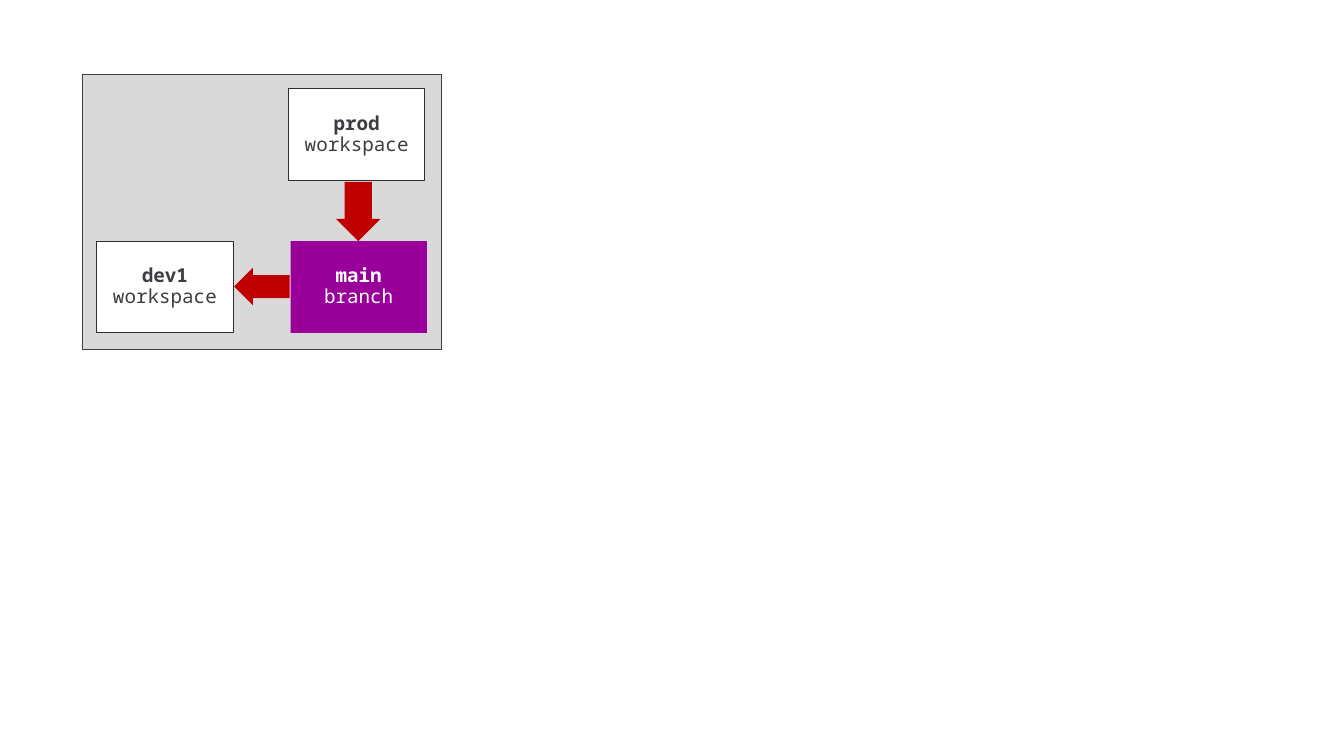
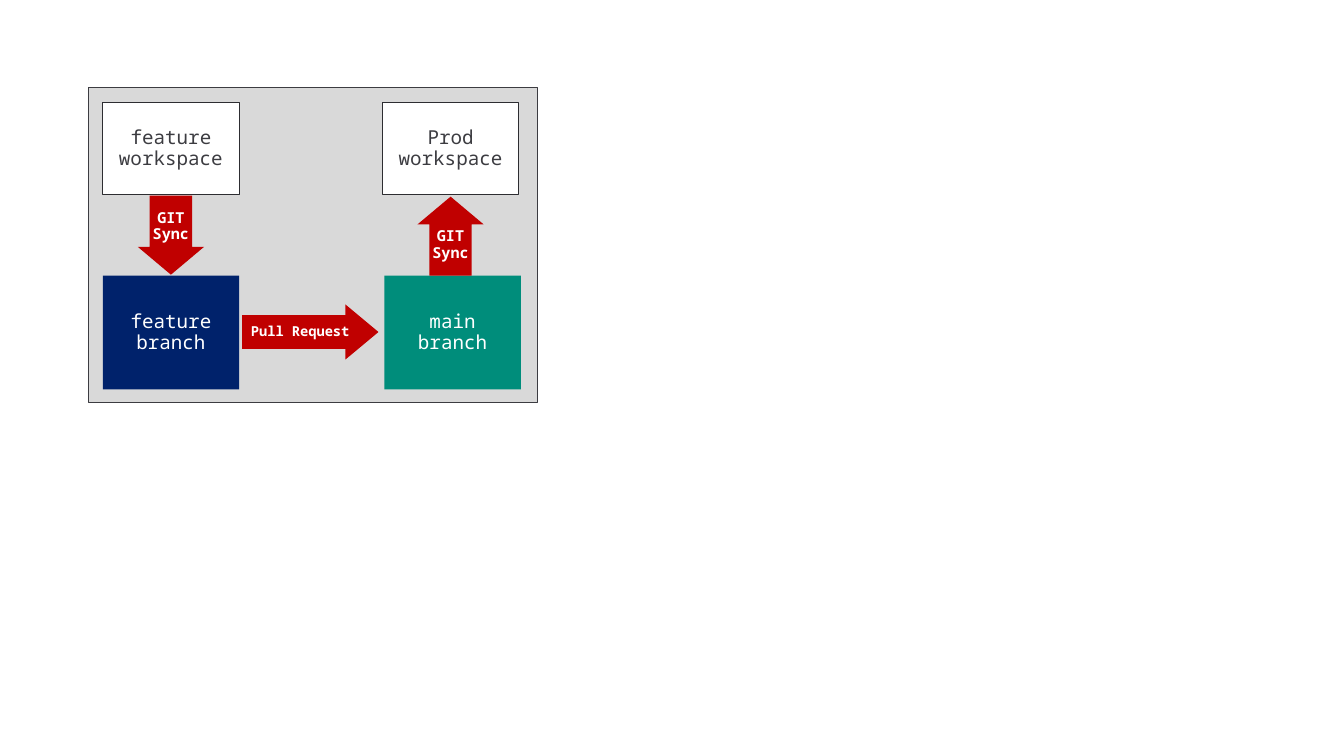
from pptx import Presentation
from pptx.dml.color import RGBColor
from pptx.enum.shapes import MSO_SHAPE
from pptx.enum.text import MSO_ANCHOR, PP_ALIGN
from pptx.util import Inches, Pt

WHITE = RGBColor(0xFF, 0xFF, 0xFF)
PANEL = RGBColor(0xD9, 0xD9, 0xD9)
INK = RGBColor(0x3C, 0x3C, 0x41)
EDGE = RGBColor(0x2D, 0x2D, 0x31)
RED = RGBColor(0xC0, 0x00, 0x00)
PURPLE = RGBColor(0x99, 0x00, 0x99)
NAVY = RGBColor(0x00, 0x22, 0x6B)
TEAL = RGBColor(0x00, 0x8D, 0x7B)

FONT = "Noto Sans Mono"
PAD = 0.14
BOX_W, BOX_H = 1.38, 0.93
BRANCH_H = 1.15


def set_format(target, values):
    for name, value in values.items():
        setattr(target, name, value)


def add_block(s, kind, box, fill, line=None, adj=()):
    sp = s.shapes.add_shape(kind, *[Inches(v) for v in box])
    sp.shadow.inherit = False
    sp.fill.solid()
    sp.fill.fore_color.rgb = fill
    if line is None:
        sp.line.fill.background()
    else:
        sp.line.color.rgb = line
        sp.line.width = Pt(0.75)
    for i, value in enumerate(adj):
        sp.adjustments[i] = value
    return sp


def add_label(sp, lines, color, size=14, bold_lines=0):
    tf = sp.text_frame
    set_format(tf, dict(word_wrap=True, vertical_anchor=MSO_ANCHOR.MIDDLE,
                        margin_left=0, margin_right=0, margin_top=0, margin_bottom=0))
    for i, text in enumerate(lines):
        p = tf.paragraphs[0] if i == 0 else tf.add_paragraph()
        set_format(p, dict(alignment=PP_ALIGN.CENTER, line_spacing=0.9))
        r = p.add_run()
        r.text = text
        set_format(r.font, dict(name=FONT, size=Pt(size), bold=i < bold_lines))
        r.font.color.rgb = color


def add_workspace(s, x, y, name, bold_lines=0):
    sp = add_block(s, MSO_SHAPE.RECTANGLE, (x, y, BOX_W, BOX_H), WHITE, EDGE)
    add_label(sp, (name, "workspace"), INK, bold_lines=bold_lines)


def add_branch(s, x, y, h, name, fill, bold_lines=0):
    sp = add_block(s, MSO_SHAPE.RECTANGLE, (x, y, BOX_W, h), fill)
    add_label(sp, (name, "branch"), WHITE, bold_lines=bold_lines)


def add_arrow(s, kind, box, adj, lines=(), size=11):
    sp = add_block(s, kind, box, RED, adj=adj)
    if lines:
        add_label(sp, lines, WHITE, size, len(lines))


def add_panel(s, box):
    add_block(s, MSO_SHAPE.RECTANGLE, box, PANEL, INK)


def build_main_to_dev(s, x, y, w, h):
    add_panel(s, (x, y, w, h))
    right, lower = x + 2.08, y + 1.69
    add_branch(s, right + 0.02, lower, BOX_H, "main", PURPLE, 1)
    add_workspace(s, right, y + 0.15, "prod", 1)
    add_workspace(s, x + PAD, lower, "dev1", 1)
    adj = (0.614, 0.5)
    add_arrow(s, MSO_SHAPE.DOWN_ARROW, (x + 2.56, y + 1.09, 0.45, 0.6), adj)
    add_arrow(s, MSO_SHAPE.LEFT_ARROW, (x + 1.53, y + 1.96, 0.56, 0.38), adj)


def build_feature_to_prod(s, x, y, w, h):
    add_panel(s, (x, y, w, h))
    left, right = x + PAD, x + 2.97
    upper, lower = y + 0.15, y + 1.9
    add_branch(s, left, lower, BRANCH_H, "feature", NAVY)
    add_workspace(s, left, upper, "feature")
    add_branch(s, right + 0.02, lower, BRANCH_H, "main", TEAL)
    add_workspace(s, right, upper, "Prod")
    arrow_w, arrow_h = 0.67, 0.8
    inset = (BOX_W - arrow_w) / 2
    for kind, column, top in ((MSO_SHAPE.UP_ARROW, right, y + 1.1),
                              (MSO_SHAPE.DOWN_ARROW, left, y + 1.09)):
        add_arrow(s, kind, (column + inset, top, arrow_w, arrow_h),
                  (0.64, 0.42), ("GIT", "Sync"))
    add_arrow(s, MSO_SHAPE.RIGHT_ARROW, (x + 1.55, y + 2.19, BOX_W, 0.56),
              (0.61, 0.6), ("Pull Request",), 10)


def main():
    prs = Presentation()
    prs.slide_width, prs.slide_height = Inches(13.6), Inches(7.65)
    for build, box in ((build_main_to_dev, (0.84, 0.75, 3.63, 2.79)),
                       (build_feature_to_prod, (0.9, 0.89, 4.54, 3.18))):
        build(prs.slides.add_slide(prs.slide_layouts[6]), *box)
    prs.save("out.pptx")


if __name__ == "__main__":
    main()
